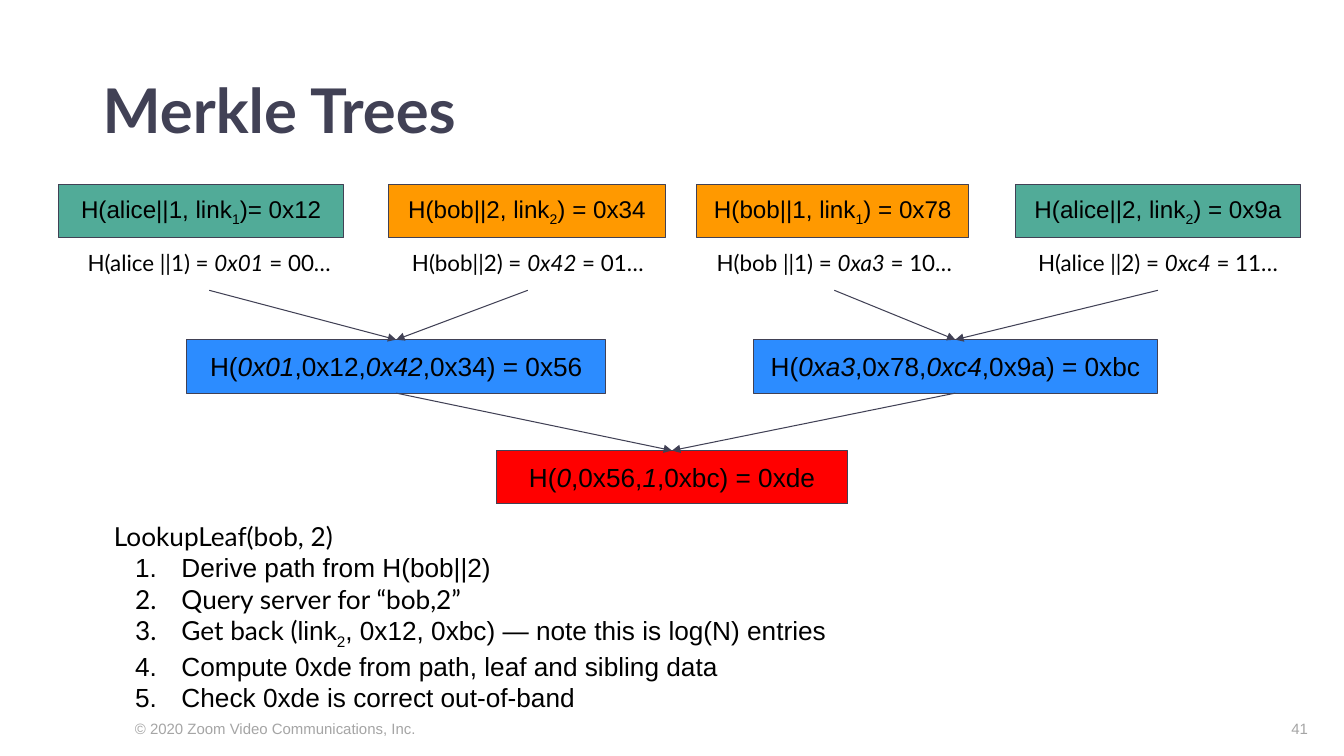
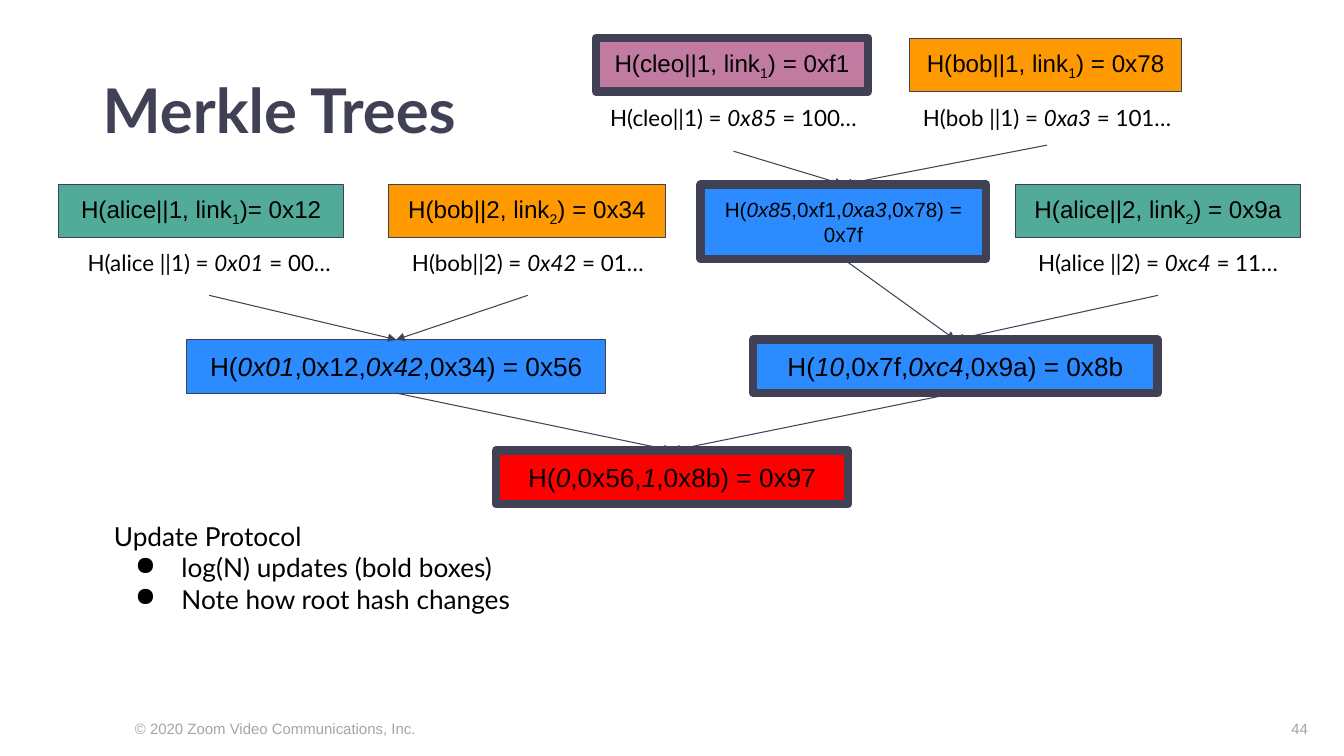
from dataclasses import dataclass, field, replace

from lxml.etree import SubElement
from pptx import Presentation
from pptx.dml.color import RGBColor
from pptx.enum.shapes import MSO_CONNECTOR, MSO_SHAPE
from pptx.enum.text import MSO_ANCHOR, PP_ALIGN
from pptx.oxml.ns import qn
from pptx.slide import Slide
from pptx.text.text import TextFrame
from pptx.util import Inches, Pt


@dataclass(frozen=True)
class Theme:
    ink: str = "414155"
    text: str = "000000"
    grey: str = "A5A5A5"
    green: str = "51AB98"
    amber: str = "FF9900"
    blue: str = "2C8CFF"
    red: str = "FF0000"
    pink: str = "C27BA0"
    sans: str = "Arial"
    head: str = "Lato"
    title: float = 44
    body: float = 18.7
    leaf: float = 17.3
    note: float = 16
    small: float = 14.7
    foot: float = 10.7
    thin: float = 0.75
    thick: float = 6


THEME = Theme()


@dataclass(frozen=True)
class Node:
    text: str
    left: float
    top: float
    width: float
    height: float = 0.53
    fill: str = THEME.blue
    size: float = THEME.body
    edge: float = THEME.thin

    @property
    def mid(self) -> float:
        return self.left + self.width / 2

    @property
    def base(self) -> float:
        return self.top + self.height


@dataclass(frozen=True)
class Note:
    text: str
    left: float
    top: float = 2.34
    width: float = 3.15
    height: float = 0.54

    @property
    def mid(self) -> float:
        return self.left + self.width / 2

    @property
    def base(self) -> float:
        return self.top + self.height


@dataclass(frozen=True)
class Link:
    start: Node | Note
    end: Node
    gap: float = 0


@dataclass(frozen=True)
class Item:
    text: str
    font: str = THEME.head
    lead: str = ""


@dataclass(frozen=True)
class Page:
    number: int
    nodes: list[Node]
    notes: list[Note]
    links: list[Link]
    topic: str
    bullet: tuple[str, str, str]
    items: list[Item] = field(default_factory=list)


def style(para, size: float, font: str, color: str, bold: bool = False) -> None:
    para.font.size = Pt(size)
    para.font.name = font
    para.font.bold = bold
    para.font.color.rgb = RGBColor.from_string(color)


def write(para, text: str) -> None:
    for slant, part in enumerate(text.split("*")):
        for low, piece in enumerate(part.split("~")):
            if piece:
                run = para.add_run()
                run.text = piece
                if slant % 2:
                    run.font.italic = True
                if low % 2:
                    run._r.get_or_add_rPr().set("baseline", "-25000")


def pad(frame: TextFrame, side: float, rim: float) -> None:
    frame.word_wrap = True
    frame.margin_left = frame.margin_right = Inches(side)
    frame.margin_top = frame.margin_bottom = Inches(rim)


def add_text(slide: Slide, left: float, top: float, width: float, height: float,
             side: float = 0.13, rim: float = 0.13) -> TextFrame:
    box = slide.shapes.add_textbox(*map(Inches, (left, top, width, height)))
    pad(box.text_frame, side, rim)
    return box.text_frame


def add_node(slide: Slide, node: Node) -> None:
    box = slide.shapes.add_shape(
        MSO_SHAPE.RECTANGLE,
        *map(Inches, (node.left, node.top, node.width, node.height)))
    box.shadow.inherit = False
    box.fill.solid()
    box.fill.fore_color.rgb = RGBColor.from_string(node.fill)
    box.line.color.rgb = RGBColor.from_string(THEME.ink)
    box.line.width = Pt(node.edge)
    frame = box.text_frame
    pad(frame, 0.13, 0.13)
    frame.vertical_anchor = MSO_ANCHOR.MIDDLE
    para = frame.paragraphs[0]
    para.alignment = PP_ALIGN.CENTER
    style(para, node.size, THEME.sans, THEME.text)
    write(para, node.text)


def add_note(slide: Slide, note: Note) -> None:
    frame = add_text(slide, note.left, note.top, note.width, note.height)
    para = frame.paragraphs[0]
    para.alignment = PP_ALIGN.CENTER
    style(para, THEME.note, THEME.head, THEME.text)
    write(para, note.text)


def add_link(slide: Slide, link: Link) -> None:
    ends = (link.start.mid, link.start.base + link.gap, link.end.mid, link.end.top)
    line = slide.shapes.add_connector(MSO_CONNECTOR.STRAIGHT, *map(Inches, ends))
    line.line.color.rgb = RGBColor.from_string(THEME.ink)
    line.line.width = Pt(THEME.thin)
    props = line._element.spPr
    SubElement(props.find(qn("a:ln")), qn("a:tailEnd"), type="triangle")
    SubElement(props, qn("a:effectLst"))


def add_mark(para, bullet: tuple[str, str, str]) -> None:
    tag, key, value = bullet
    props = para._p.get_or_add_pPr()
    props.set("marL", str(Inches(0.67)))
    props.set("indent", str(Inches(-0.46)))
    tint = SubElement(props, qn("a:buClr"))
    SubElement(tint, qn("a:srgbClr"), val=THEME.text)
    SubElement(props, qn(tag), {key: value})


def add_list(slide: Slide, page: Page) -> None:
    frame = add_text(slide, 1, 5.03, 11.68, 2.15)
    para = frame.paragraphs[0]
    style(para, THEME.body, THEME.head, THEME.text)
    write(para, page.topic)
    for item in page.items:
        para = frame.add_paragraph()
        add_mark(para, page.bullet)
        style(para, THEME.body, item.font, THEME.text)
        if item.lead:
            run = para.add_run()
            run.text = item.lead
            run.font.name = THEME.head
        write(para, item.text)


def add_frame(slide: Slide, number: int) -> None:
    foot = "© 2020 Zoom Video Communications, Inc."
    for text, left, width, align in ((foot, 1.24, 3.41, PP_ALIGN.LEFT),
                                     (str(number), 12.12, 0.95, PP_ALIGN.RIGHT)):
        para = add_text(slide, left, 7.09, width, 0.29, 0.1, 0.05).paragraphs[0]
        para.alignment = align
        style(para, THEME.foot, THEME.sans, THEME.grey)
        write(para, text)
    frame = add_text(slide, 0.92, 0.63, 11.5, 0.99, 0.1, 0.05)
    frame.vertical_anchor = MSO_ANCHOR.MIDDLE
    para = frame.paragraphs[0]
    para.line_spacing = 0.9
    style(para, THEME.title, THEME.head, THEME.ink, True)
    write(para, "Merkle Trees")


def leaf(text: str, left: float, width: float, fill: str, top: float = 1.83) -> Node:
    return Node(text, left, top, width, fill=fill, size=THEME.leaf)


def make_pages() -> list[Page]:
    alice = leaf("H(alice||1, link~1~)= 0x12", 0.58, 2.83, THEME.green)
    alice_two = leaf("H(alice||2, link~2~) = 0x9a", 10.07, 2.83, THEME.green)
    bob_two = leaf("H(bob||2, link~2~) = 0x34", 3.85, 2.75, THEME.amber)
    bob = leaf("H(bob||1, link~1~) = 0x78", 6.91, 2.7, THEME.amber)
    bob_up = replace(bob, left=9.02, top=0.38)
    cleo = replace(leaf("H(cleo||1, link~1~) = 0xf1", 5.91, 2.7, THEME.pink, 0.38),
                   edge=THEME.thick)

    alice_key = Note("H(alice ||1) = *0x01* = 00…", 0.5)
    bob_two_key = Note("H(bob||2) = *0x42* = 01…", 3.93, width=2.61)
    bob_key = Note("H(bob ||1) = *0xa3* = 10…", 6.7)
    alice_two_key = Note("H(alice ||2) = *0xc4* = 11…", 9.91)
    cleo_key = Note("H(cleo||1) = *0x85* = 100…", 5.7, 0.9)
    bob_up_key = Note("H(bob ||1) = *0xa3* = 101…", 8.81, 0.9)

    west = Node("H(*0x01*,0x12,*0x42*,0x34) = 0x56", 1.85, 3.37, 4.16)
    east = Node("H(*0xa3*,0x78,*0xc4*,0x9a) = 0xbc", 7.47, 3.37, 4.01)
    root = Node("H(*0*,0x56,*1*,0xbc) = 0xde", 4.92, 4.47, 3.49, fill=THEME.red)
    new_east = replace(east, text="H(*10*,0x7f,*0xc4*,0x9a) = 0x8b", edge=THEME.thick)
    new_root = replace(root, text="H(*0*,0x56,*1*,0x8b) = 0x97", edge=THEME.thick)
    joint = Node("H(*0x85*,0xf1,*0xa3*,0x78) = 0x7f", 6.95, 1.83, 2.83, 0.74,
                 size=THEME.small, edge=THEME.thick)

    lookup = Page(
        41,
        [alice, alice_two, bob_two, bob, west, east, root],
        [alice_key, bob_two_key, bob_key, alice_two_key],
        [Link(alice_key, west), Link(bob_two_key, west), Link(bob_key, east),
         Link(alice_two_key, east), Link(west, root), Link(east, root)],
        "LookupLeaf(bob, 2)",
        ("a:buAutoNum", "type", "arabicPeriod"),
        [Item("Derive path from H(bob||2)", THEME.sans),
         Item("Query server for “bob,2”"),
         Item("link~2~, 0x12, 0xbc) — note this is log(N) entries",
              THEME.sans, "Get back ("),
         Item("Compute 0xde from path, leaf and sibling data", THEME.sans),
         Item("Check 0xde is correct out-of-band", THEME.sans)])
    update = Page(
        44,
        [cleo, bob_up, alice, alice_two, bob_two, west, new_east, new_root, joint],
        [cleo_key, bob_up_key, alice_key, bob_two_key, alice_two_key],
        [Link(cleo_key, joint, 0.06), Link(bob_up_key, joint),
         Link(alice_key, west, 0.05), Link(bob_two_key, west, 0.05),
         Link(joint, new_east), Link(alice_two_key, new_east, 0.05),
         Link(west, new_root), Link(new_east, new_root)],
        "Update Protocol",
        ("a:buChar", "char", "●"),
        [Item("log(N) updates (bold boxes)"), Item("Note how root hash changes")])
    return [lookup, update]


def main() -> None:
    deck = Presentation()
    deck.slide_width, deck.slide_height = Inches(13.33), Inches(7.5)
    for page in make_pages():
        slide = deck.slides.add_slide(deck.slide_layouts[6])
        add_frame(slide, page.number)
        for node in page.nodes:
            add_node(slide, node)
        for note in page.notes:
            add_note(slide, note)
        for link in page.links:
            add_link(slide, link)
        add_list(slide, page)
    deck.save("out.pptx")


if __name__ == "__main__":
    main()
